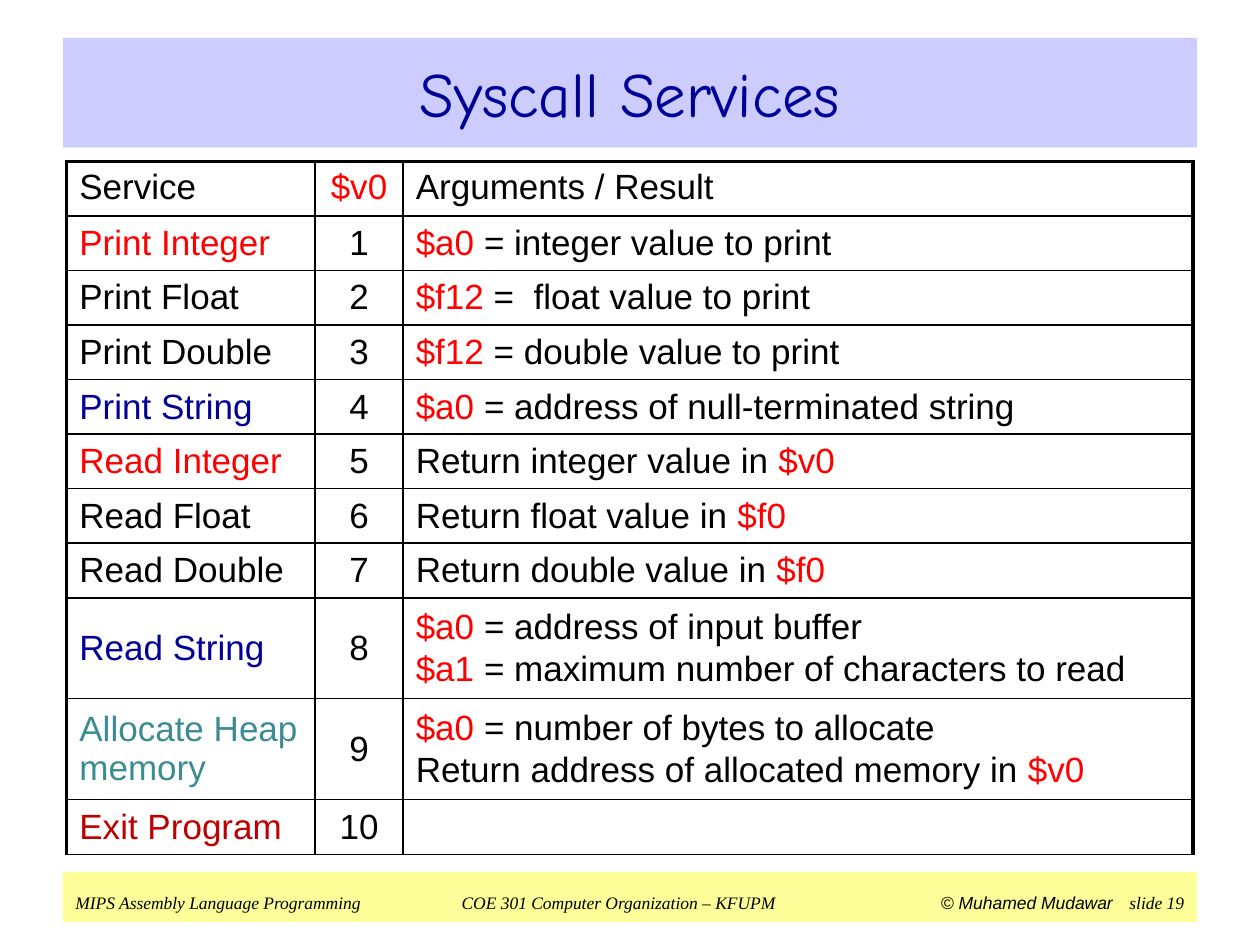
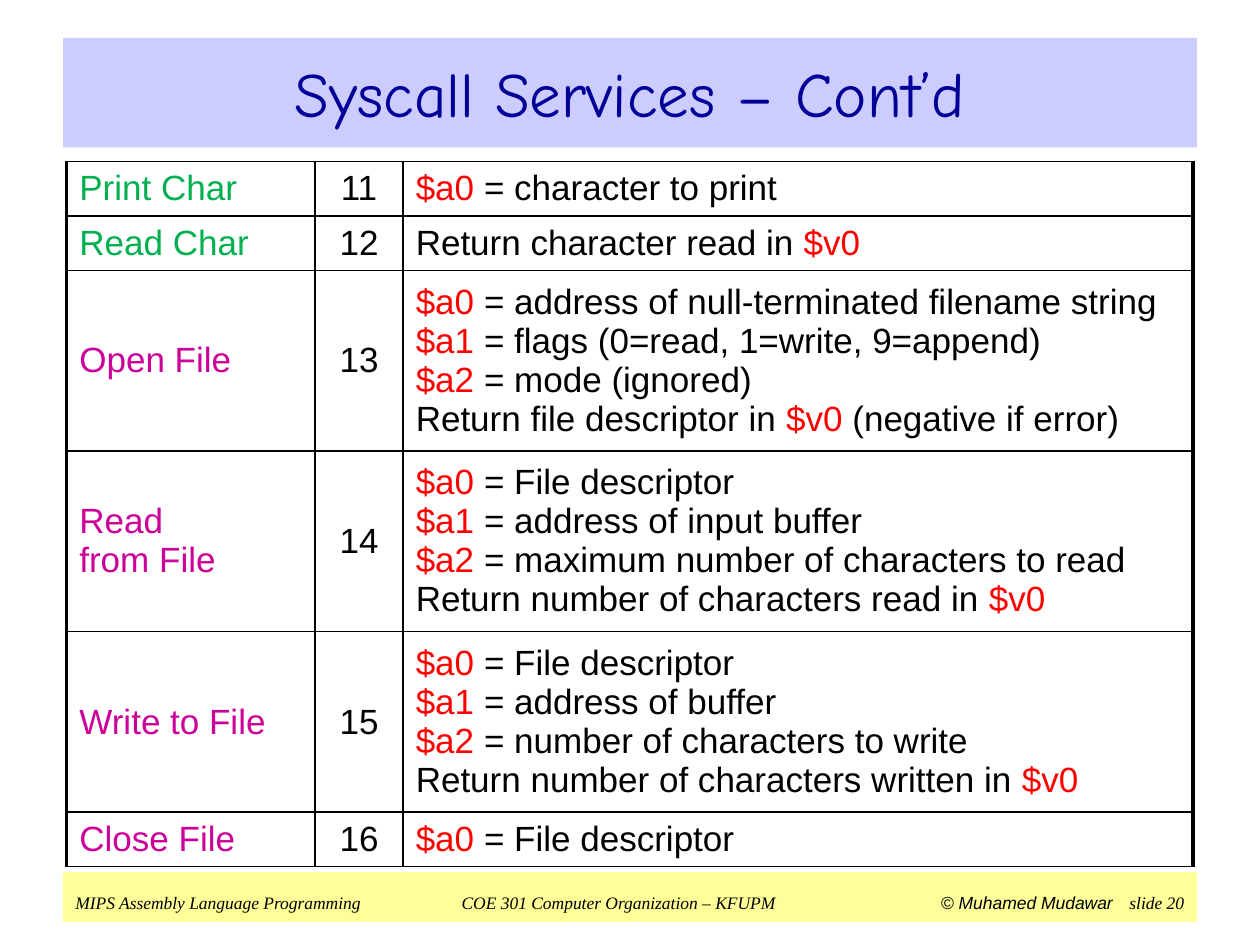
from itertools import groupby

from lxml import etree
from pptx import Presentation, util as u
from pptx.dml.color import RGBColor
from pptx.enum import shapes, text
from pptx.oxml import ns

BLACK = RGBColor(0x00, 0x00, 0x00)
RED = RGBColor(0xFF, 0x00, 0x00)
NAVY = RGBColor(0x00, 0x00, 0x99)
TEAL = RGBColor(0x3C, 0x8C, 0x93)
MAROON = RGBColor(0xC0, 0x00, 0x00)
GREEN = RGBColor(0x00, 0xB0, 0x50)
MAGENTA = RGBColor(0xCC, 0x00, 0x99)
LAVENDER = RGBColor(0xCC, 0xCC, 0xFF)
YELLOW = RGBColor(0xFF, 0xFF, 0x99)

HEADER = "Service"
FIRST_NUMBER = 19
SLIDES = [
    ("Syscall Services", [
        (HEADER, BLACK, "$v0", ["Arguments / Result"]),
        ("Print Integer", RED, "1", ["$a0 = integer value to print"]),
        ("Print Float", BLACK, "2", ["$f12 =  float value to print"]),
        ("Print Double", BLACK, "3", ["$f12 = double value to print"]),
        ("Print String", NAVY, "4", ["$a0 = address of null-terminated string"]),
        ("Read Integer", RED, "5", ["Return integer value in $v0"]),
        ("Read Float", BLACK, "6", ["Return float value in $f0"]),
        ("Read Double", BLACK, "7", ["Return double value in $f0"]),
        ("Read String", NAVY, "8", [
            "$a0 = address of input buffer",
            "$a1 = maximum number of characters to read"]),
        ("Allocate Heap memory", TEAL, "9", [
            "$a0 = number of bytes to allocate",
            "Return address of allocated memory in $v0"]),
        ("Exit Program", MAROON, "10", []),
    ]),
    ("Syscall Services – Cont’d", [
        ("Print Char", GREEN, "11", ["$a0 = character to print"]),
        ("Read Char", GREEN, "12", ["Return character read in $v0"]),
        ("Open File", MAGENTA, "13", [
            "$a0 = address of null-terminated filename string",
            "$a1 = flags (0=read, 1=write, 9=append)",
            "$a2 = mode (ignored)",
            "Return file descriptor in $v0 (negative if error)"]),
        ("Read\nfrom File", MAGENTA, "14", [
            "$a0 = File descriptor",
            "$a1 = address of input buffer",
            "$a2 = maximum number of characters to read",
            "Return number of characters read in $v0"]),
        ("Write to File", MAGENTA, "15", [
            "$a0 = File descriptor",
            "$a1 = address of buffer",
            "$a2 = number of characters to write",
            "Return number of characters written in $v0"]),
        ("Close File", MAGENTA, "16", ["$a0 = File descriptor"]),
    ]),
]
FOOTER = [
    ("MIPS Assembly Language Programming\tCOE 301 Computer Organization – KFUPM\t",
     "Times New Roman"),
    ("© Muhamed Mudawar", "Arial"),
    ("\tslide {}", "Times New Roman"),
]
FOOTER_TABS = [(4.31, "ctr"), (6.87, "l"), (8.8, "r")]

TITLE_BAND = (0.5, 0.3, 9, 0.87)
FOOTER_BAND = (0.5, 6.92, 9, 0.4)
TABLE_LEFT, TABLE_TOP = 0.53, 1.28
COLUMNS = (1.97, 0.7, 6.27)
ROW_POINTS = {1: 31.2, 2: 57.7, 4: 103.2}
THIN, THICK = 1, 2.25

TITLE_FONT = {"name": "Comic Neue", "size": u.Pt(36), "bold": False}
CELL_FONT = {"name": "Arial", "size": u.Pt(20), "bold": False}
FOOTER_FONT = {"size": u.Pt(10), "italic": True}


def set_all(target, values):
    for key, value in values.items():
        setattr(target, key, value)


def add_run(paragraph, words, colour, **font):
    run = paragraph.add_run()
    run.text = words
    set_all(run.font, font)
    run.font.color.rgb = colour


def place(band, box):
    set_all(band, dict(zip(("left", "top", "width", "height"), map(u.Inches, box))))


def paint(band, colour):
    band.fill.solid()
    band.fill.fore_color.rgb = colour
    band.line.fill.background()


def add_title(slide, words):
    title = slide.shapes.title
    place(title, TITLE_BAND)
    paint(title, LAVENDER)
    set_all(title.text_frame, {"auto_size": text.MSO_AUTO_SIZE.NONE,
                               "vertical_anchor": text.MSO_ANCHOR.MIDDLE})
    paragraph = title.text_frame.paragraphs[0]
    paragraph.alignment = text.PP_ALIGN.CENTER
    add_run(paragraph, words, NAVY, **TITLE_FONT)


def add_footer(slide, number):
    footer = slide.shapes.add_shape(shapes.MSO_SHAPE.RECTANGLE, *map(u.Inches, FOOTER_BAND))
    footer.shadow.inherit = False
    paint(footer, YELLOW)
    set_all(footer.text_frame, {"word_wrap": True, "vertical_anchor": text.MSO_ANCHOR.TOP,
                                "margin_top": u.Inches(0.16), "margin_bottom": 0,
                                "margin_right": u.Inches(0.05)})
    paragraph = footer.text_frame.paragraphs[0]
    paragraph.alignment = text.PP_ALIGN.LEFT
    tabs = etree.SubElement(paragraph._p.get_or_add_pPr(), ns.qn("a:tabLst"))
    for position, alignment in FOOTER_TABS:
        etree.SubElement(tabs, ns.qn("a:tab"), pos=str(u.Inches(position)), algn=alignment)
    for words, face in FOOTER:
        add_run(paragraph, words.format(number), BLACK, name=face, **FOOTER_FONT)


def add_borders(cell, widths):
    for side, width in widths.items():
        border = etree.SubElement(cell._tc.get_or_add_tcPr(), ns.qn(f"a:ln{side}"),
                                  w=str(u.Pt(width)))
        fill = etree.SubElement(border, ns.qn("a:solidFill"))
        etree.SubElement(fill, ns.qn("a:srgbClr"), val=str(BLACK))


def split_registers(line):
    words = groupby(line.split(" "), lambda word: word.startswith("$"))
    parts = [(is_register, " ".join(group)) for is_register, group in words]
    for index, (is_register, part) in enumerate(parts):
        yield part + (" " if index < len(parts) - 1 else ""), is_register


def fill_cell(cell, lines, colour, alignment, gap):
    for index, line in enumerate(lines):
        frame = cell.text_frame
        paragraph = frame.add_paragraph() if index else frame.paragraphs[0]
        paragraph.alignment = alignment
        paragraph.space_before = gap if index else 0
        for words, is_register in split_registers(line):
            add_run(paragraph, words, RED if is_register else colour, **CELL_FONT)


def add_services(slide, services):
    heights = [u.Pt(ROW_POINTS[max(1, len(results))]) for *_, results in services]
    table = slide.shapes.add_table(
        len(services), len(COLUMNS), u.Inches(TABLE_LEFT), u.Inches(TABLE_TOP),
        u.Inches(sum(COLUMNS)), sum(heights)).table
    set_all(table, {"first_row": False, "horz_banding": False})
    for column, width in zip(table.columns, COLUMNS):
        column.width = u.Inches(width)
    left, centre = text.PP_ALIGN.LEFT, text.PP_ALIGN.CENTER
    for row, height, (service, colour, code, results) in zip(table.rows, heights, services):
        row.height = height
        is_header = service == HEADER
        gap = u.Pt(2 if len(results) == 2 else 0)
        contents = [(service.split("\n"), colour, left), ([code], BLACK, centre),
                    (results, BLACK, left)]
        for index, (cell, content) in enumerate(zip(row.cells, contents)):
            fill_cell(cell, *content, gap)
            cell.vertical_anchor = text.MSO_ANCHOR.TOP if is_header else text.MSO_ANCHOR.MIDDLE
            add_borders(cell, {"L": THICK if index == 0 else THIN,
                               "R": THICK if index == len(COLUMNS) - 1 else THIN,
                               "T": THICK if is_header else THIN, "B": THIN})
            cell.fill.background()


def main():
    deck = Presentation()
    set_all(deck, {"slide_width": u.Inches(10), "slide_height": u.Inches(7.5)})
    for number, (title, services) in enumerate(SLIDES, FIRST_NUMBER):
        slide = deck.slides.add_slide(deck.slide_layouts[5])
        add_title(slide, title)
        add_footer(slide, number)
        add_services(slide, services)
    deck.save("out.pptx")


if __name__ == "__main__":
    main()
